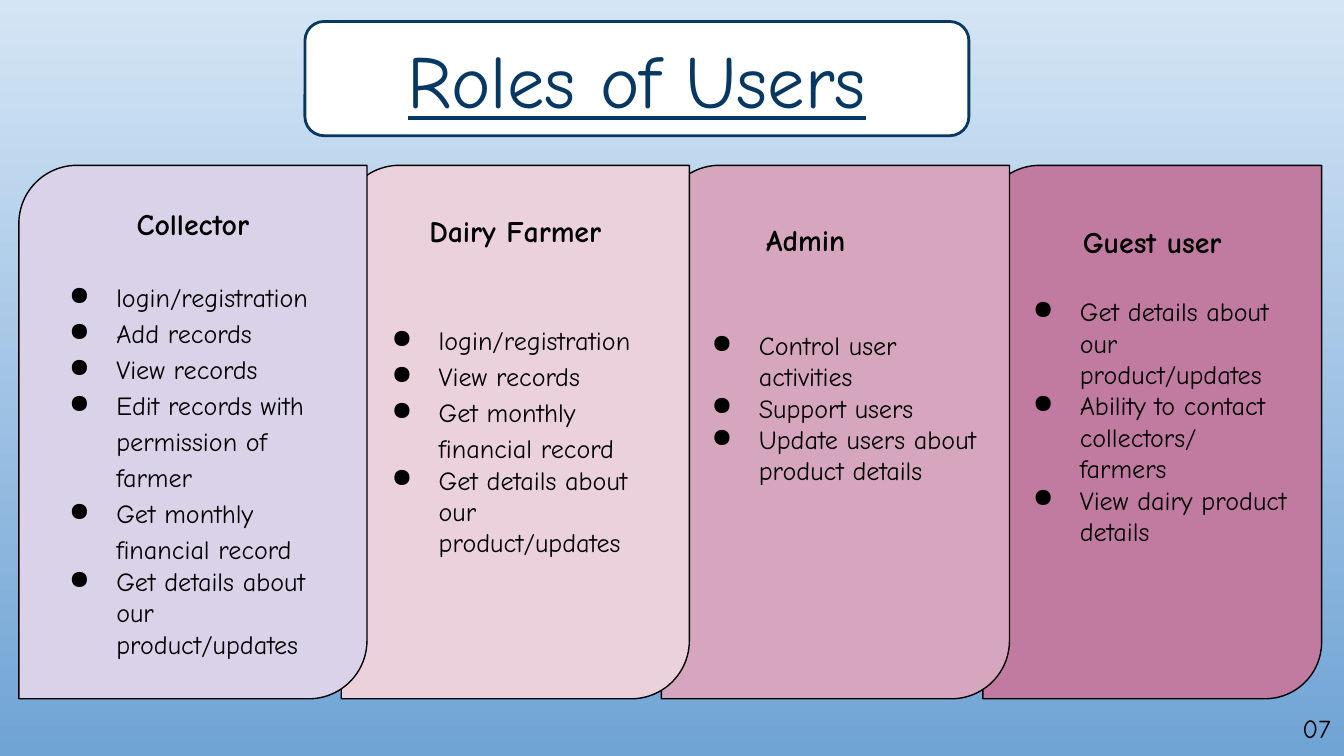
"""Build the "Roles of Users" slide: a title and four overlapping role cards."""
import math

import pptx
import pptx.dml.color
import pptx.enum.shapes
import pptx.enum.text
import pptx.oxml
import pptx.oxml.ns
import pptx.util
from lxml import etree

Pt = pptx.util.Pt
RGB = pptx.dml.color.RGBColor.from_string
SHAPE = pptx.enum.shapes.MSO_SHAPE
ALIGN = pptx.enum.text.PP_ALIGN
ANCHOR = pptx.enum.text.MSO_ANCHOR

TITLE = "Roles of Users"
PAGE = "07"
LOOSE, SINGLE = 1.15, 1.0
DETAILS = "Get details about our product/updates"
CARDS = [
    {"role": "Collector", "left": 10.1, "width": 186.5, "fill": "D9D2E9",
     "head_top": 110, "head_gap": 19.2, "head_indent": None,
     "tasks": [("login/registration", LOOSE), ("Add records", LOOSE),
               ("View records", LOOSE),
               ("Edit records with permission of farmer", LOOSE),
               ("Get monthly financial record", LOOSE), (DETAILS, SINGLE)]},
    {"role": "Dairy Farmer", "left": 182.8, "width": 186.5, "fill": "EAD1DC",
     "head_top": 113.8, "head_gap": 38.4, "head_indent": None,
     "tasks": [("login/registration", LOOSE), ("View records", LOOSE),
               ("Get monthly financial record", LOOSE), (DETAILS, SINGLE)]},
    {"role": "Admin", "left": 354.3, "width": 186.5, "fill": "D5A6BD",
     "head_top": 118.8, "head_gap": 38.4, "head_indent": 40,
     "tasks": [("Control user activities", SINGLE), ("Support users", SINGLE),
               ("Update users about product details", SINGLE)]},
    {"role": "Guest user", "left": 526.5, "width": 181.5, "fill": "C27BA0",
     "head_top": 120, "head_gap": 19.2, "head_indent": None,
     "tasks": [(DETAILS, SINGLE),
               ("Ability to contact collectors/ farmers", SINGLE),
               ("View dairy product details", SINGLE)]},
]
THEME = {"font": "Comic Neue", "ink": "000000", "navy": "073763", "white": "FFFFFF",
         "sky": ("D4E5F5", "70A4D5"), "title": 40, "head": 16, "body": 14}
CARD_TOP, CARD_HEIGHT, CORNER, INSET = 88.6, 285.8, 0.167, 7.2


def add_run(p, text, size, color=THEME["ink"], bold=False, underline=False):
    """Add one styled run to a paragraph."""
    r = p.add_run()
    r.text = text
    r.font.name, r.font.size = THEME["font"], Pt(size)
    r.font.bold, r.font.underline = bold, underline
    r.font.color.rgb = RGB(color)


def set_frame(s, anchor):
    """Give a shape's text frame wrapping, equal insets and an anchor."""
    tf = s.text_frame
    tf.word_wrap, tf.vertical_anchor = True, anchor
    tf.margin_left = tf.margin_right = tf.margin_top = tf.margin_bottom = Pt(INSET)
    return tf


def add_box(slide, kind, box, fill, line, weight):
    """Add a flat preset shape with a solid fill and outline."""
    s = slide.shapes.add_shape(kind, *map(Pt, box))
    s.shadow.inherit = False
    s.adjustments[0] = CORNER
    s.fill.solid()
    s.fill.fore_color.rgb = RGB(fill)
    s.line.color.rgb = RGB(line)
    s.line.width = Pt(weight)
    return s


def set_indent(p, left, first=0):
    """Set the left margin and first-line indent of a paragraph."""
    pPr = p._p.get_or_add_pPr()
    pPr.set("marL", str(Pt(left)))
    pPr.set("indent", str(Pt(first)))
    return pPr


def add_bullet(p):
    """Turn a paragraph into a hanging bullet."""
    qn = pptx.oxml.ns.qn
    pPr = set_indent(p, 36, -25.2)
    color = etree.SubElement(pPr, qn("a:buClr"))
    etree.SubElement(color, qn("a:srgbClr")).set("val", THEME["ink"])
    etree.SubElement(pPr, qn("a:buChar")).set("char", "●")


def add_card(slide, card):
    """Add one role card with its heading and task list."""
    box = card["left"], CARD_TOP, card["width"], CARD_HEIGHT
    s = add_box(slide, SHAPE.ROUND_2_DIAG_RECTANGLE, box, card["fill"], THEME["ink"], 0.75)
    tf = set_frame(s, ANCHOR.TOP)
    corner_inset = CORNER * min(box[2:]) * (1 - math.sqrt(0.5))
    tf.margin_top = Pt(card["head_top"] - CARD_TOP - corner_inset)
    p = tf.paragraphs[0]
    p.space_after = Pt(card["head_gap"])
    if card["head_indent"] is None:
        p.alignment = ALIGN.CENTER
    else:
        p.alignment = ALIGN.LEFT
        set_indent(p, card["head_indent"])
    add_run(p, card["role"], THEME["head"], bold=True)
    for task, spacing in card["tasks"]:
        p = tf.add_paragraph()
        p.alignment, p.line_spacing = ALIGN.LEFT, spacing
        add_bullet(p)
        add_run(p, task, THEME["body"])


def main():
    """Assemble and save the slide."""
    prs = pptx.Presentation()
    prs.slide_width, prs.slide_height = Pt(720), Pt(405)
    slide = prs.slides.add_slide(prs.slide_layouts[6])
    fill = slide.background.fill
    fill.gradient()
    fill.gradient_angle = 270
    for stop, color in zip(fill.gradient_stops, THEME["sky"]):
        stop.color.rgb = RGB(color)

    for card in reversed(CARDS):
        add_card(slide, card)

    s = add_box(slide, SHAPE.ROUNDED_RECTANGLE, (163.4, 11.5, 355.7, 61.2),
                THEME["white"], THEME["navy"], 1.5)
    p = set_frame(s, ANCHOR.MIDDLE).paragraphs[0]
    p.alignment = ALIGN.CENTER
    add_run(p, TITLE, THEME["title"], THEME["navy"], underline=True)

    s = slide.shapes.add_textbox(Pt(676.8), Pt(374.4), Pt(43.2), Pt(31))
    p = set_frame(s, ANCHOR.MIDDLE).paragraphs[0]
    p.alignment = ALIGN.RIGHT
    add_run(p, PAGE, THEME["body"])
    prs.save("out.pptx")


if __name__ == "__main__":
    main()
